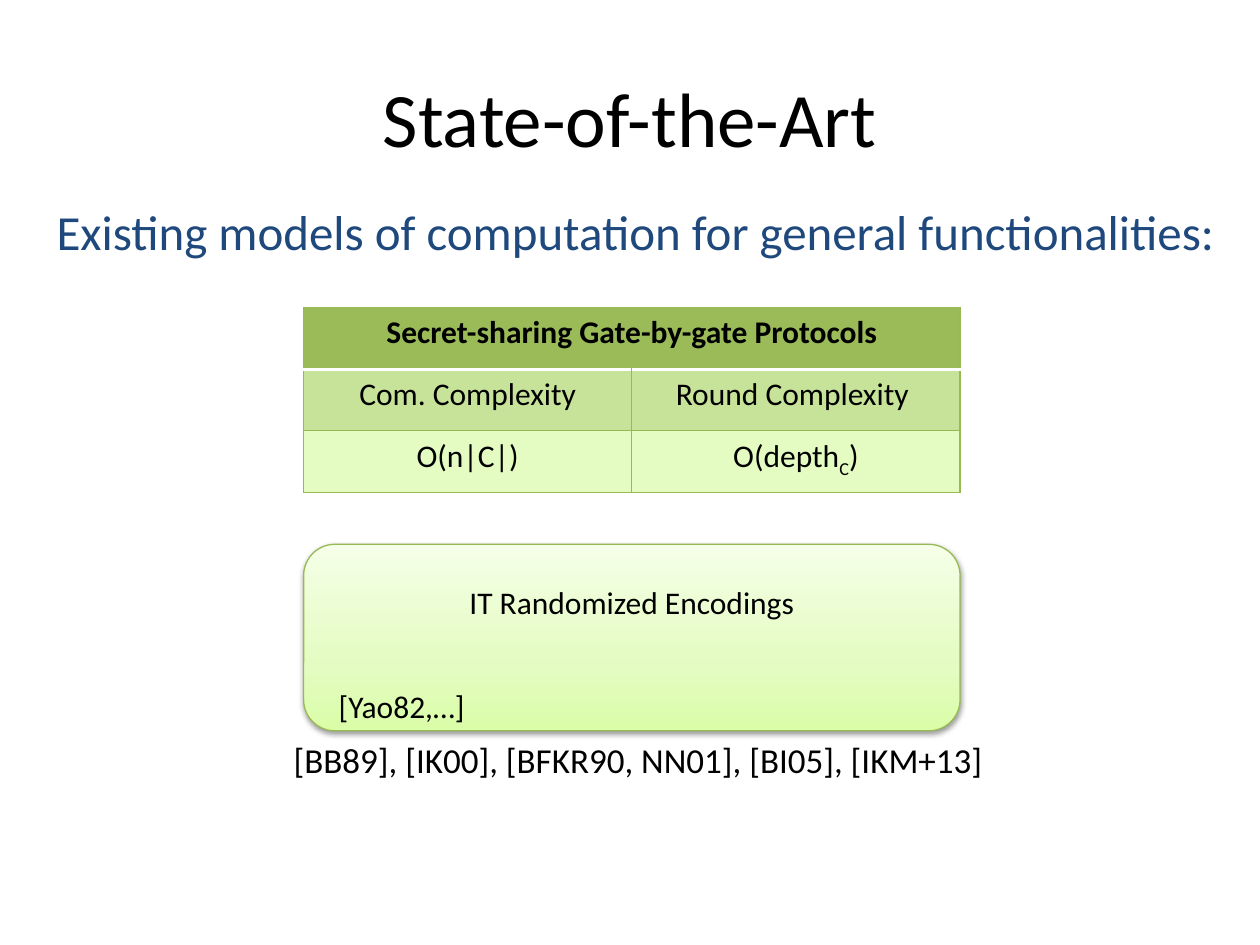
from copy import deepcopy

from lxml import etree
from pptx import Presentation
from pptx.dml.color import RGBColor
from pptx.enum.shapes import MSO_SHAPE
from pptx.enum.text import MSO_ANCHOR, PP_ALIGN
from pptx.oxml import parse_xml
from pptx.oxml.ns import nsdecls, qn
from pptx.util import Inches, Pt

ROUNDED = MSO_SHAPE.ROUNDED_RECTANGLE
MIDDLE, TOP = MSO_ANCHOR.MIDDLE, MSO_ANCHOR.TOP
CENTER, LEFT = PP_ALIGN.CENTER, PP_ALIGN.LEFT
COLORS = {
    "text": "000000", "lead": "1F497D", "border": "98B955", "rule": "FFFFFF",
    "header": "9BBB59", "labels": "C7E299", "values": "E4FCC2",
    "glow_low": "DAFDA7", "glow_mid": "E4FCC2", "glow_high": "F5FFE7",
}
TITLE_ONLY = 5
BLOCK_LEFT, BLOCK_WIDTH = Inches(2.41), Inches(5.21)
ROW_HEIGHT = Inches(0.49)


def color(key):
    return RGBColor.from_string(COLORS[key])


def write(frame, pieces, size, align=LEFT, bold=False, ink="text"):
    paragraph = frame.paragraphs[0]
    paragraph.alignment = align
    for piece, baseline in pieces:
        run = paragraph.add_run()
        run.text = piece
        for key, value in {"name": "Calibri", "size": Pt(size), "bold": bold}.items():
            setattr(run.font, key, value)
        run.font.color.rgb = color(ink)
        if baseline:
            run.font._element.set("baseline", str(baseline))


prs = Presentation()
prs.slide_width, prs.slide_height = Inches(10), Inches(7.5)
slide = prs.slides.add_slide(prs.slide_layouts[TITLE_ONLY])

encodings = slide.shapes.add_shape(ROUNDED, BLOCK_LEFT, Inches(4.32), BLOCK_WIDTH, Inches(1.48))
encodings.fill.gradient()
encodings.fill.gradient_angle = 90
low = encodings.fill.gradient_stops[0]._gs
low.addnext(deepcopy(low))
glow = [("glow_low", 0), ("glow_mid", 0.35), ("glow_high", 1)]
for stop, (key, position) in zip(encodings.fill.gradient_stops, glow):
    stop.color.rgb = color(key)
    stop.position = position
encodings.line.color.rgb = color("border")
encodings.line.width = Pt(0.75)
encodings.shadow.inherit = False
effects = encodings._element.spPr.find(qn("a:effectLst"))
effects.append(parse_xml(
    f'<a:outerShdw {nsdecls("a")} blurRad="40000" dist="20000" dir="5400000" rotWithShape="0">'
    '<a:srgbClr val="000000"><a:alpha val="38000"/></a:srgbClr></a:outerShdw>'))
encodings.text_frame.vertical_anchor = MIDDLE
encodings.text_frame.margin_bottom = Inches(0.61)
write(encodings.text_frame, [("IT Randomized Encodings", 0)], 18, CENTER)

captions = [
    ("[Yao82,…]", (2.59, 5.4, 1.23, 0.4), 0.1, 18, "text"),
    ("[BB89], [IK00], [BFKR90, NN01], [BI05], [IKM+13]", (2.04, 5.81, 5.91, 1.11), 0.29, 20, "text"),
    ("Existing models of computation for general functionalities:",
     (0.35, 1.55, 9.65, 0.57), 0.1, 28, "lead"),
]
for caption, area, indent, size, ink in captions:
    frame = slide.shapes.add_textbox(*map(Inches, area)).text_frame
    for key, value in {"word_wrap": True, "vertical_anchor": TOP,
                       "margin_left": Inches(indent), "margin_right": 0}.items():
        setattr(frame, key, value)
    write(frame, [(caption, 0)], size, ink=ink)

complexity_rows = [
    ("header", [[("Secret-sharing Gate-by-gate Protocols", 0)], []]),
    ("labels", [[("Com. Complexity", 0)], [("Round Complexity ", 0)]]),
    ("values", [[("O(n|C|)", 0)], [("O(depth", 0), ("C", -25000), (")", 0)]]),
]
protocols = slide.shapes.add_table(
    len(complexity_rows), 2, BLOCK_LEFT, Inches(2.44), BLOCK_WIDTH,
    ROW_HEIGHT * len(complexity_rows)).table
for r, (shade, entries) in enumerate(complexity_rows):
    protocols.rows[r].height = ROW_HEIGHT
    for c, pieces in enumerate(entries):
        cell = protocols.cell(r, c)
        cell.fill.solid()
        cell.fill.fore_color.rgb = color(shade)
        write(cell.text_frame, pieces, 18, CENTER, bold=r == 0)
        edges = cell._tc.get_or_add_tcPr()
        for order, side in enumerate("LRTB"):
            on_rule = (r, side) in [(0, "B"), (1, "T")]
            edge = etree.Element(qn(f"a:ln{side}"), w=str(Pt(2 if on_rule else 0.75)))
            paint = etree.SubElement(edge, qn("a:solidFill"))
            etree.SubElement(paint, qn("a:srgbClr"), val=COLORS["rule" if on_rule else "border"])
            edges.insert(order, edge)
protocols.cell(0, 0).merge(protocols.cell(0, 1))

title = slide.shapes.title
for key, value in {"left": 0.5, "top": 0.3, "width": 9, "height": 1.25}.items():
    setattr(title, key, Inches(value))
title.text_frame.vertical_anchor = MIDDLE
write(title.text_frame, [("State-of-the-Art", 0)], 44, CENTER)

prs.save("out.pptx")
